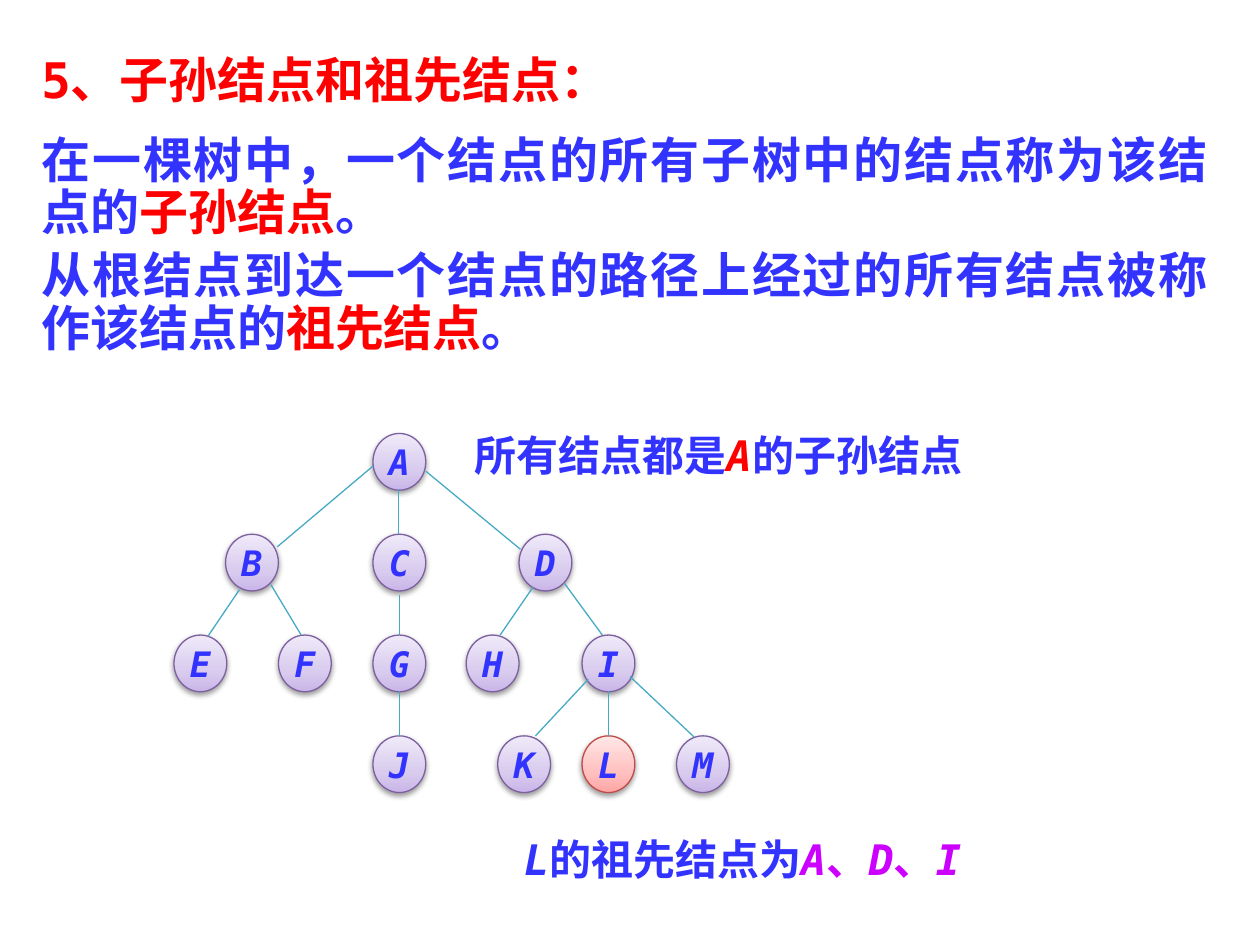
from lxml import etree
from pptx import Presentation
from pptx.dml.color import RGBColor
from pptx.enum.lang import MSO_LANGUAGE_ID
from pptx.enum.shapes import MSO_CONNECTOR, MSO_SHAPE
from pptx.enum.text import MSO_ANCHOR, PP_ALIGN
from pptx.oxml.ns import qn
from pptx.util import Pt

OVAL = MSO_SHAPE.OVAL
STRAIGHT = MSO_CONNECTOR.STRAIGHT
CENTER, JUSTIFY = PP_ALIGN.CENTER, PP_ALIGN.JUSTIFY
MIDDLE = MSO_ANCHOR.MIDDLE
CHINESE = MSO_LANGUAGE_ID.SIMPLIFIED_CHINESE

LATIN_FONT = "DejaVu Sans Mono"
CHINESE_FONT = "Noto Sans CJK JP"

BLUE = RGBColor(0x33, 0x33, 0xFF)
RED = RGBColor(0xFF, 0x00, 0x00)
MAGENTA = RGBColor(0xCC, 0x00, 0xFF)
BLACK = RGBColor(0x00, 0x00, 0x00)
EDGE_COLOR = RGBColor(0x46, 0xAA, 0xC5)
PURPLE_LINE = RGBColor(0x7D, 0x60, 0xA0)
PURPLE_STOPS = (RGBColor(0xC9, 0xB5, 0xE8), RGBColor(0xD8, 0xCB, 0xEE),
                RGBColor(0xF0, 0xEA, 0xF9))
PINK_LINE = RGBColor(0xBF, 0x4C, 0x48)
PINK_STOPS = (RGBColor(0xFF, 0xA6, 0xA5), RGBColor(0xFF, 0xC0, 0xBF),
              RGBColor(0xFF, 0xE7, 0xE7))
STOP_POSITIONS = (0, 35, 100)

NODE_WIDTH, NODE_HEIGHT = 30.2, 32.4
TREE_TOP, LEVEL_STEP = 247.7, 57.6

# Left edge of each node, one dictionary per tree level
LEVELS = [
    {"A": 213.1},
    {"B": 128.9, "C": 213.1, "D": 296.6},
    {"E": 99.4, "F": 159.1, "G": 213.1, "H": 266.4, "I": 332.6},
    {"J": 213.1, "K": 284.4, "L": 332.6, "M": 386.6},
]
HIGHLIGHTED = "L"

# Start and end of the edge between each parent and child
EDGES = {
    "AB": (213.1, 266.4, 158.4, 312.5),
    "AC": (227.8, 279.4, 227.8, 305.3),
    "AD": (243.4, 269.3, 297.4, 313.9),
    "BE": (136.8, 337, 118.8, 363.6),
    "BF": (154.8, 334.1, 172.1, 362.9),
    "CG": (228.2, 339.8, 228.2, 362.9),
    "GJ": (228.2, 394.6, 228.2, 420.5),
    "DH": (304.6, 335.5, 285.8, 362.9),
    "DI": (322.6, 333.4, 344.2, 362.9),
    "IK": (336.2, 388.1, 306, 420.5),
    "IL": (347.8, 394.6, 347.8, 420.5),
    "IM": (360, 386.6, 396.7, 421.2),
}

# Paragraphs as (space before, runs); runs as (text, color)
DEFINITIONS = [
    (6, [("5、", RED), ("子孙结点和祖先结点", RED), ("：", RED)]),
    (16, [("在一棵树中，一个结点的所有子树中的结点称为该结点的", BLUE),
          ("子孙结点", RED), ("。", BLUE)]),
    (6, [("从根结点到达一个结点的路径上经过的所有结点被称作该结点的", BLUE),
         ("祖先结点", RED), ("。", BLUE)]),
]
DESCENDANT_NOTE = [("所有结点都是", BLUE), ("A", RED), ("的子孙结点", BLUE)]
ANCESTOR_NOTE = [("L", BLUE), ("的祖先结点为", BLUE), ("A", MAGENTA), ("、", MAGENTA),
                 ("D", MAGENTA), ("、", MAGENTA), ("I", MAGENTA)]


def add_runs(para, runs, size):
    """Bold runs; node names (single Latin letters) are italic."""
    for text, color in runs:
        span = para.add_run()
        span.text = text
        font = span.font
        font.size = Pt(size)
        font.bold = True
        font.italic = text.isascii()
        font.name = LATIN_FONT
        font.color.rgb = color
        font.language_id = CHINESE
        east_asian = etree.SubElement(span._r.get_or_add_rPr(), qn("a:ea"))
        east_asian.set("typeface", CHINESE_FONT)


def add_text_box(page, left, top, width, height):
    box = page.shapes.add_textbox(Pt(left), Pt(top), Pt(width), Pt(height))
    box.text_frame.word_wrap = True
    return box.text_frame


def add_definitions(page):
    frame = add_text_box(page, 16.6, 28.1, 680.4, 180.7)
    for index, (space_before, runs) in enumerate(DEFINITIONS):
        para = frame.add_paragraph() if index else frame.paragraphs[0]
        para.alignment = JUSTIFY
        para.line_spacing = Pt(30)
        para.space_before = Pt(space_before)
        add_runs(para, runs, 28)


def add_note(page, left, top, width, runs):
    frame = add_text_box(page, left, top, width, 36)
    add_runs(frame.paragraphs[0], runs, 24)


def add_color(parent, color):
    element = etree.SubElement(parent, qn("a:srgbClr"))
    element.set("val", str(color))
    return element


def set_gradient(shape, colors):
    shape.fill.gradient()
    shape.fill.gradient_angle = 90
    stop_list = shape._element.spPr.find(".//" + qn("a:gsLst"))
    for old_stop in list(stop_list):
        stop_list.remove(old_stop)
    for position, color in zip(STOP_POSITIONS, colors):
        stop = etree.SubElement(stop_list, qn("a:gs"))
        stop.set("pos", str(position * 1000))
        add_color(stop, color)


def set_shadow(shape):
    shape.shadow.inherit = False
    effects = shape._element.spPr.find(qn("a:effectLst"))
    shadow = etree.SubElement(effects, qn("a:outerShdw"))
    shadow.set("blurRad", str(Pt(3.1)))
    shadow.set("dist", str(Pt(1.6)))
    shadow.set("dir", str(90 * 60000))
    shadow.set("rotWithShape", "0")
    alpha = etree.SubElement(add_color(shadow, BLACK), qn("a:alpha"))
    alpha.set("val", "38000")


def add_node(page, name, left, top):
    node = page.shapes.add_shape(OVAL, Pt(left), Pt(top),
                                 Pt(NODE_WIDTH), Pt(NODE_HEIGHT))
    highlighted = name == HIGHLIGHTED
    set_gradient(node, PINK_STOPS if highlighted else PURPLE_STOPS)
    node.line.color.rgb = PINK_LINE if highlighted else PURPLE_LINE
    node.line.width = Pt(0.75)
    set_shadow(node)
    frame = node.text_frame
    frame.word_wrap = False
    frame.vertical_anchor = MIDDLE
    para = frame.paragraphs[0]
    para.alignment = CENTER
    add_runs(para, [(name, BLUE)], 20)


def add_edge(page, points):
    edge = page.shapes.add_connector(STRAIGHT, *(Pt(value) for value in points))
    edge.line.color.rgb = EDGE_COLOR
    edge.line.width = Pt(0.75)
    etree.SubElement(edge._element.spPr, qn("a:effectLst"))


def main():
    deck = Presentation()
    deck.slide_width, deck.slide_height = Pt(720), Pt(540)
    page = deck.slides.add_slide(deck.slide_layouts[6])

    # Heading, definitions and notes
    add_definitions(page)
    add_note(page, 264.2, 241.9, 339.1, DESCENDANT_NOTE)
    add_note(page, 292.3, 473, 311, ANCESTOR_NOTE)

    # Tree
    for level, nodes in enumerate(LEVELS):
        for name, left in nodes.items():
            add_node(page, name, left, TREE_TOP + level * LEVEL_STEP)
    for points in EDGES.values():
        add_edge(page, points)

    deck.save("out.pptx")


if __name__ == "__main__":
    main()
